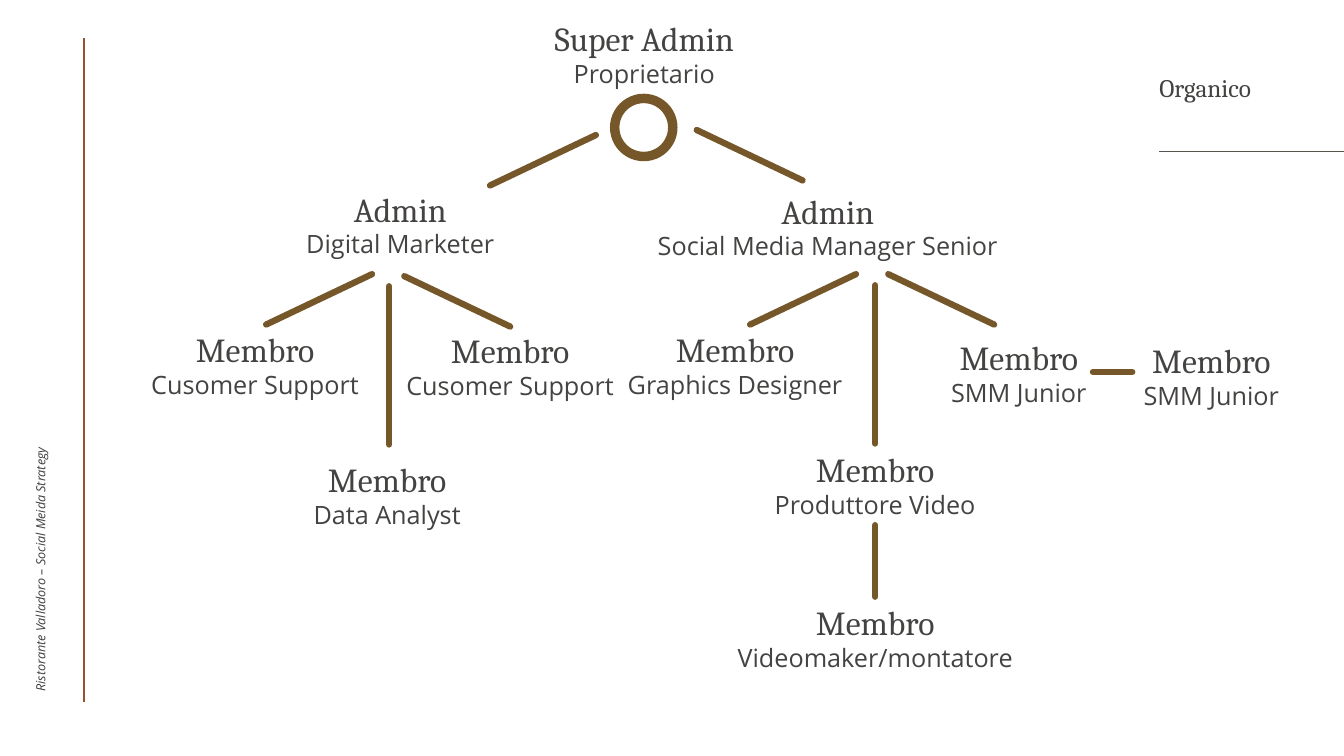
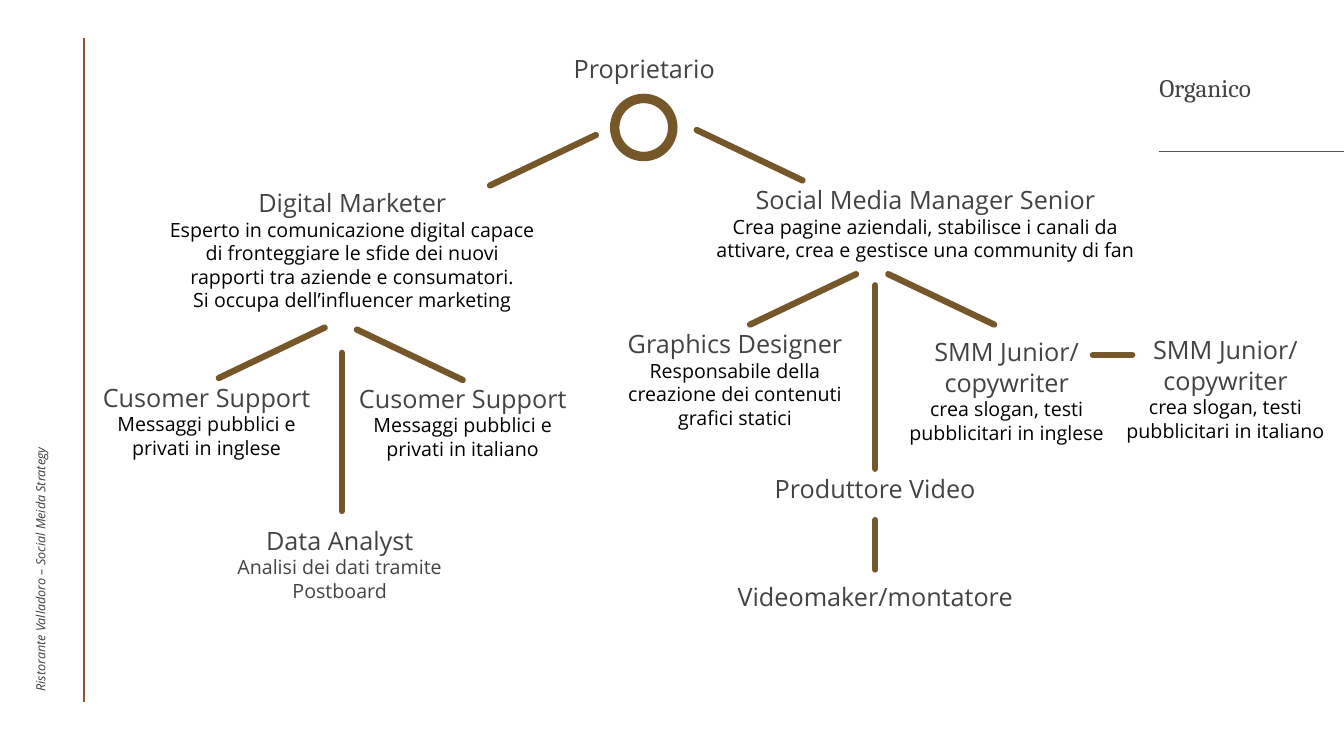
from dataclasses import dataclass

from lxml.etree import SubElement
from pptx import Presentation
from pptx.dml.color import RGBColor
from pptx.enum.shapes import MSO_CONNECTOR, MSO_SHAPE
from pptx.enum.text import MSO_AUTO_SIZE, PP_ALIGN
from pptx.oxml.ns import qn
from pptx.util import Pt

PX = 9144  # 100 px to the inch
WIDE, HIGH = 1333, 750


@dataclass(frozen=True)
class Theme:
    rule: str = "975030"
    thin: str = "58534D"
    brown: str = "76572A"
    # size, font, colour, italic
    side: tuple = (9, "Open Sans", "404040", True)
    title: tuple = (18, "Cambria", "444341", False)
    rank: tuple = (24, "Cambria", "444341", False)
    job: tuple = (18, "Open Sans", "444341", False)
    note: tuple = (14, "Open Sans", "000000", False)
    soft: tuple = (14, "Open Sans", "444341", False)


THEME = Theme()
TITLE = "Organico"
SIDE = "Ristorante Valladoro – Social Meida Strategy"
RING = (605, 93, 67, 67)

# Arms: start x, start y, run, drop
SHARED = [
    (591, 134, -105, 50), (691, 129, 105, 50),
    (849, 272, -105, 50), (881, 272, 105, 50),
]

# Nodes: box (left, top, width, height), then (style, text) lines
RANKS = {
    "nodes": [
        ((524, 13, 230, 81), [("rank", "Super Admin"), ("job", "Proprietario")]),
        ((264, 182, 266, 81), [("rank", "Admin"), ("job", "Digital Marketer")]),
        ((632, 184, 378, 81),
         [("rank", "Admin"), ("job", "Social Media Manager Senior")]),
        ((133, 321, 240, 81), [("rank", "Membro"), ("job", "Cusomer Support")]),
        ((386, 322, 240, 81), [("rank", "Membro"), ("job", "Cusomer Support")]),
        ((264, 450, 240, 81), [("rank", "Membro"), ("job", "Data Analyst")]),
        ((609, 321, 240, 81), [("rank", "Membro"), ("job", "Graphics Designer")]),
        ((912, 329, 197, 81), [("rank", "Membro"), ("job", "SMM Junior")]),
        ((1103, 332, 197, 81), [("rank", "Membro"), ("job", "SMM Junior")]),
        ((748, 440, 240, 81), [("rank", "Membro"), ("job", "Produttore Video")]),
        ((714, 592, 308, 81),
         [("rank", "Membro"), ("job", "Videomaker/montatore")]),
    ],
    "arms": [
        (369, 272, -105, 50), (401, 274, 105, 50), (386, 284, 0, 157),
        (868, 283, 0, 157), (868, 521, 0, 71), (1084, 369, 39, 0),
    ],
}

TASKS = {
    "nodes": [
        ((524, 48, 230, 40), [("job", "Proprietario")]),
        ((156, 181, 387, 195), [
            ("job", "Digital Marketer"),
            ("note", "Esperto in comunicazione digital capace di fronteggiare "
                     "le sfide dei nuovi rapporti tra aziende e consumatori."),
            ("note", "Si occupa dell’influencer marketing")]),
        ((686, 178, 464, 88), [
            ("job", "Social Media Manager Senior"),
            ("note", "Crea pagine aziendali, stabilisce i canali da attivare, "
                     "crea e gestisce una community di fan")]),
        ((85, 374, 240, 88), [
            ("job", "Cusomer Support"),
            ("note", "Messaggi pubblici e privati in inglese")]),
        ((339, 375, 240, 118), [
            ("job", "Cusomer Support"),
            ("note", "Messaggi pubblici e privati in italiano")]),
        ((217, 516, 240, 88), [
            ("job", "Data Analyst"),
            ("soft", "Analisi dei dati tramite Postboard")]),
        ((609, 321, 240, 111), [
            ("job", "Graphics Designer"),
            ("note", "Responsabile della creazione dei contenuti grafici statici")]),
        ((888, 329, 221, 118), [
            ("job", "SMM Junior/"), ("job", "copywriter"),
            ("note", "crea slogan, testi pubblicitari in inglese")]),
        ((1103, 327, 225, 148), [
            ("job", "SMM Junior/"), ("job", "copywriter"),
            ("note", "crea slogan, testi pubblicitari in italiano")]),
        ((748, 465, 240, 40), [("job", "Produttore Video")]),
        ((714, 572, 308, 40), [("job", "Videomaker/montatore")]),
    ],
    "arms": [
        (322, 325, -105, 50), (354, 327, 105, 50), (339, 350, 0, 157),
        (868, 283, 0, 182), (868, 516, 0, 49), (1084, 352, 39, 0),
    ],
}


def emu(*nums):
    return [num * PX for num in nums]


def text(slide, box, lines, align=PP_ALIGN.CENTER):
    shape = slide.shapes.add_textbox(*emu(*box))
    frame = shape.text_frame
    frame.word_wrap = True
    frame.auto_size = MSO_AUTO_SIZE.SHAPE_TO_FIT_TEXT
    for num, (style, words) in enumerate(lines):
        para = frame.add_paragraph() if num else frame.paragraphs[0]
        para.text = words
        para.alignment = align
        size, name, color, slant = getattr(THEME, style)
        font = para.font
        font.size, font.name, font.italic = Pt(size), name, slant
        font.color.rgb = RGBColor.from_string(color)
    return shape


def line(slide, start, end, color, width):
    link = slide.shapes.add_connector(
        MSO_CONNECTOR.STRAIGHT, *emu(*start, *end))
    link.line.color.rgb = RGBColor.from_string(color)
    link.line.width = Pt(width)
    SubElement(link._element.spPr, qn("a:effectLst"))
    return link


def sides(box):
    """Middles of the sides, in connection site order."""
    x, y, w, h = box
    return [(x + w // 2, y), (x, y + h // 2),
            (x + w // 2, y + h), (x + w, y + h // 2)]


def frame(slide):
    """Margin rule, side label, title and ring that every slide has."""
    line(slide, (83, 38), (83, 696), THEME.rule, 1.25)
    label = text(slide, (25, 390, 20, 296), [("side", SIDE)], PP_ALIGN.LEFT)
    body = label.text_frame
    body.margin_left = body.margin_right = 0
    body.margin_top = body.margin_bottom = 0
    body.paragraphs[0].line_spacing = 1.5
    body._txBody.bodyPr.set("vert", "vert270")
    text(slide, (1140, 67, 263, 40), [("title", TITLE)], PP_ALIGN.LEFT)
    line(slide, (1150, 150), (WIDE, 150), THEME.thin, 0.25)
    ring = slide.shapes.add_shape(MSO_SHAPE.DONUT, *emu(*RING))
    ring.adjustments[0] = 0.14
    ring.shadow.inherit = False
    ring.fill.solid()
    ring.fill.fore_color.rgb = RGBColor.from_string(THEME.brown)
    ring.line.fill.background()


def chart(slide, nodes, arms):
    sites = {}
    for box, lines in nodes:
        shape = text(slide, box, lines)
        for num, spot in enumerate(sides(box)):
            sites[spot] = (shape, num)
    for x, y, run, drop in SHARED + arms:
        start, end = (x, y), (x + run, y + drop)
        link = line(slide, start, end, THEME.brown, 4.5)
        link.line._get_or_add_ln().set("cap", "rnd")
        if start in sites:
            link.begin_connect(*sites[start])
        if end in sites:
            link.end_connect(*sites[end])


def main():
    deck = Presentation()
    deck.slide_width, deck.slide_height = emu(WIDE, HIGH)
    for page in (RANKS, TASKS):
        slide = deck.slides.add_slide(deck.slide_layouts[6])
        frame(slide)
        chart(slide, **page)
    deck.save("out.pptx")


if __name__ == "__main__":
    main()
